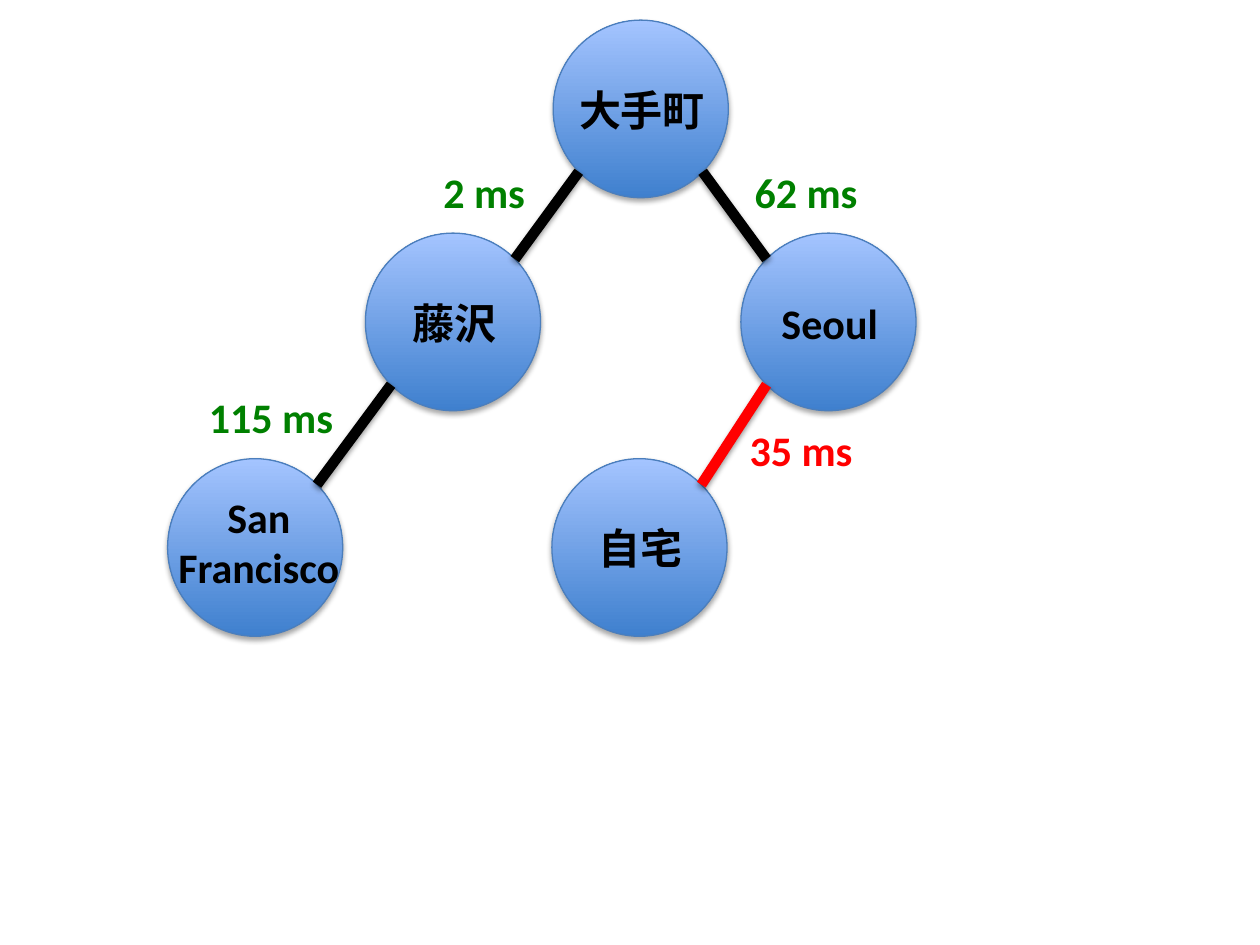
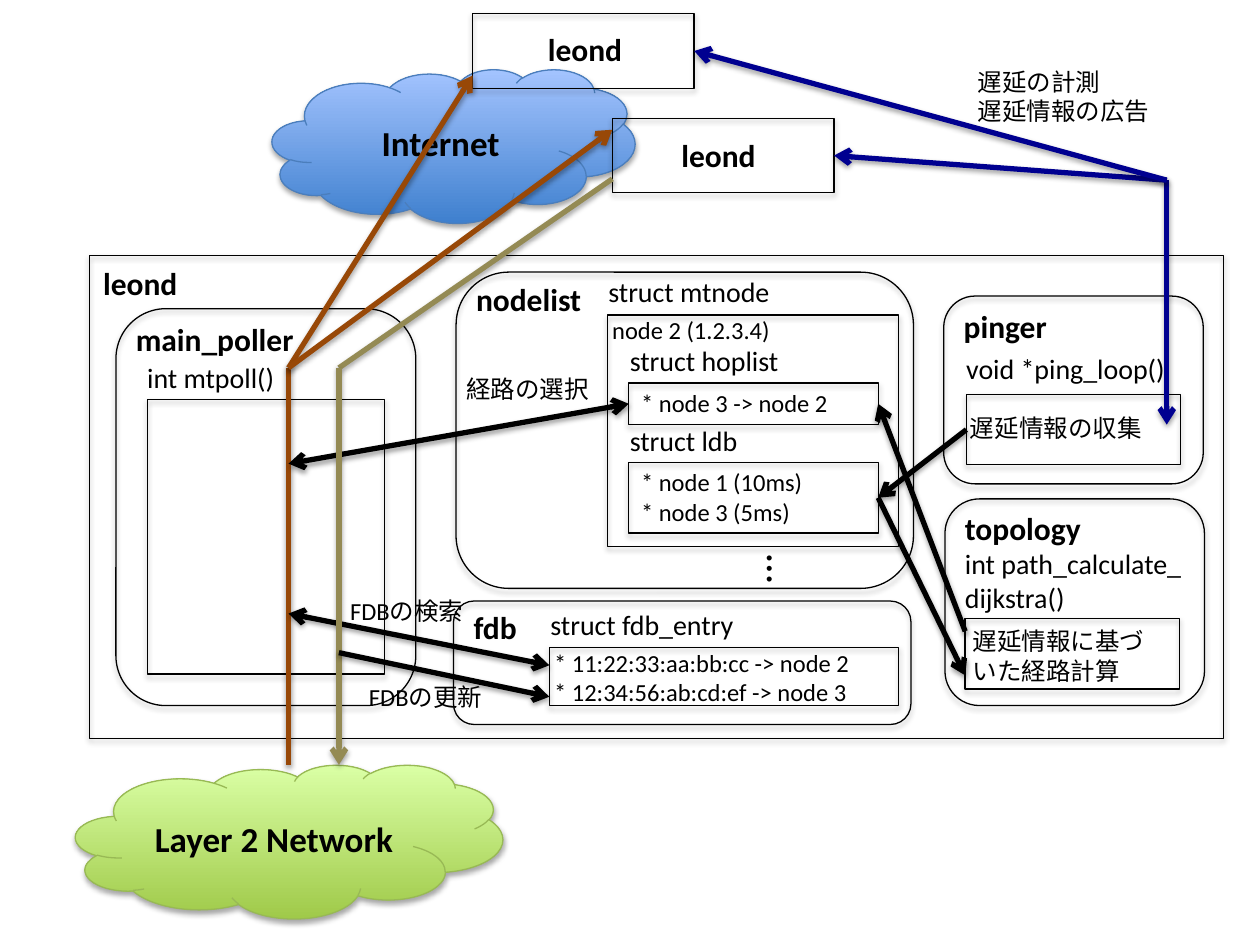
import math
from typing import Any, NamedTuple, Union

import lxml.etree
import pptx
import pptx.dml.color
import pptx.enum.shapes
import pptx.enum.text
import pptx.oxml.ns
import pptx.util

Inches = pptx.util.Inches
Pt = pptx.util.Pt
Kind = pptx.enum.shapes.MSO_SHAPE
Align = pptx.enum.text.PP_ALIGN
Anchor = pptx.enum.text.MSO_ANCHOR
qn = pptx.oxml.ns.qn

FONT = "Calibri"
COLORS = {
    "black": "000000", "red": "FF0000", "green": "008000",
    "brown": "984807", "olive": "948A54", "navy": "000090",
    "blue low": "3F80CE", "blue high": "A4C4FF", "blue edge": "4B7EBC",
    "lime low": "A0CA4A", "lime high": "DAFFA5", "lime edge": "98B955",
}
TOP, LEFT, BOTTOM, RIGHT = range(4)


class Box(NamedTuple):
    kind: Any
    x: float
    y: float
    w: float
    h: float
    tint: str = ""


class Label(NamedTuple):
    words: str
    x: float
    y: float
    w: float
    size: int
    bold: bool = False
    color: str = "black"
    lines: int = 1
    center: bool = False
    wrap: bool = True
    turn: int = 0


class Point(NamedTuple):
    x: float
    y: float


class Join(NamedTuple):
    box: str
    side: int


class Wire(NamedTuple):
    start: Union[Point, Join]
    end: Union[Point, Join]
    color: str = "black"
    width: float = 3
    head: bool = False
    tail: bool = True


class Node(NamedTuple):
    words: str
    x: float
    y: float
    dx: float = 0.03
    dy: float = 0.46
    w: float = 1.35
    lines: int = 1


# Shared drawing functions
def rgb(name: str) -> pptx.dml.color.RGBColor:
    return pptx.dml.color.RGBColor.from_string(COLORS[name])


def shade(shape: Any, alpha: int, dist: float) -> None:
    """Give a shape or connector a soft shadow below it."""
    props = shape._element.spPr
    effects = props.find(qn("a:effectLst"))
    if effects is None:
        effects = lxml.etree.SubElement(props, qn("a:effectLst"))
    outer = lxml.etree.SubElement(
        effects, qn("a:outerShdw"), blurRad=str(Pt(3.1)), dist=str(Pt(dist)),
        dir="5400000", rotWithShape="0")
    tone = lxml.etree.SubElement(outer, qn("a:srgbClr"), val=COLORS["black"])
    lxml.etree.SubElement(tone, qn("a:alpha"), val=str(alpha * 1000))


def write(frame: Any, words: str, *, size: int, bold: bool = False,
          color: str = "black", center: bool = False, wrap: bool = True) -> None:
    frame.word_wrap = wrap
    for i, line in enumerate(words.split("\n")):
        para = frame.add_paragraph() if i else frame.paragraphs[0]
        para.alignment = Align.CENTER if center else Align.LEFT
        run = para.add_run()
        run.text = line
        run.font.name, run.font.size, run.font.bold = FONT, Pt(size), bold
        run.font.color.rgb = rgb(color)


def draw_box(slide: Any, box: Box) -> Any:
    shape = slide.shapes.add_shape(box.kind, *map(Inches, box[1:5]))
    shape.shadow.inherit = False
    if box.tint:
        shape.fill.gradient()
        shape.fill.gradient_angle = 90
        for stop, end in zip(shape.fill.gradient_stops, ("low", "high")):
            stop.color.rgb = rgb(f"{box.tint} {end}")
    else:
        shape.fill.background()
    shape.line.color.rgb = rgb(f"{box.tint} edge" if box.tint else "black")
    shape.line.width = Pt(0.75)
    shade(shape, 35, 1.8)
    return shape


def draw_label(slide: Any, label: Label) -> None:
    # Height follows from the line count plus the two inner margins
    tall = label.lines * label.size * 1.2 / 72 + 0.1
    area = slide.shapes.add_textbox(
        Inches(label.x), Inches(label.y), Inches(label.w), Inches(tall))
    area.rotation = label.turn
    area.text_frame.auto_size = pptx.enum.text.MSO_AUTO_SIZE.SHAPE_TO_FIT_TEXT
    write(area.text_frame, label.words, size=label.size, bold=label.bold,
          color=label.color, center=label.center, wrap=label.wrap)


def draw_wire(slide: Any, wire: Wire, shapes: dict[str, Any]) -> None:
    spots = [Point(0, 0) if isinstance(end, Join) else end
             for end in (wire.start, wire.end)]
    line = slide.shapes.add_connector(
        pptx.enum.shapes.MSO_CONNECTOR.STRAIGHT,
        *(Inches(n) for spot in spots for n in spot))
    if isinstance(wire.start, Join):
        line.begin_connect(shapes[wire.start.box], wire.start.side)
    if isinstance(wire.end, Join):
        line.end_connect(shapes[wire.end.box], wire.end.side)
    line.line.color.rgb = rgb(wire.color)
    line.line.width = Pt(wire.width)
    stroke = line._element.spPr.find(qn("a:ln"))
    for tag, shown in (("a:headEnd", wire.head), ("a:tailEnd", wire.tail)):
        if shown:
            lxml.etree.SubElement(stroke, qn(tag), type="arrow")
    shade(line, 38, 1.6)


# Slide 1: delay tree
DISC_W, DISC_H = 1.39, 1.41
NODES = {
    "root": Node("大手町", 4.39, 0.16),
    "west": Node("藤沢", 2.9, 1.85),
    "bay": Node("San Francisco", 1.33, 3.64, -0.09, 0.21, 1.63, 2),
    "home": Node("自宅", 4.38, 3.64),
    "east": Node("Seoul", 5.88, 1.85),
}
# Upper node, lower node, side of the upper one (-1 left, 1 right),
# side of the lower one, colour
EDGES = [
    ("root", "west", -1, 1, "black"),
    ("west", "bay", -1, 1, "black"),
    ("east", "home", -1, 1, "red"),
    ("root", "east", 1, -1, "black"),
]
DELAYS = [
    ("2 ms", 3.42, 1.27, 0.86, "green"),
    ("62 ms", 5.89, 1.27, 1.04, "green"),
    ("35 ms", 5.85, 3.32, 1.19, "red"),
    ("115 ms", 1.56, 3.06, 1.38, "green"),
]


def rim(node: Node, across: int, down: int) -> Point:
    """Point on the disc's diagonal."""
    part = math.sqrt(0.5)
    return Point(node.x + DISC_W / 2 * (1 + across * part),
                 node.y + DISC_H / 2 * (1 + down * part))


def build_tree(slide: Any) -> None:
    for node in NODES.values():
        draw_box(slide, Box(Kind.OVAL, node.x, node.y, DISC_W, DISC_H, "blue"))
        draw_label(slide, Label(node.words, node.x + node.dx, node.y + node.dy,
                                node.w, 24, True, lines=node.lines, center=True))
    for upper, lower, out, back, color in EDGES:
        draw_wire(slide, Wire(rim(NODES[upper], out, 1), rim(NODES[lower], back, -1),
                              color, 6, tail=False), {})
    for words, x, y, w, color in DELAYS:
        draw_label(slide, Label(words, x, y, w, 24, True, color, wrap=False))


# Slide 2: daemon structure
CLOUDS = {
    "Internet": Box(Kind.CLOUD, 2.16, 0.55, 2.88, 1.22, "blue"),
    "Layer 2 Network": Box(Kind.CLOUD, 0.6, 6.07, 3.39, 1.22, "lime"),
}
RECT, ROUND = Kind.RECTANGLE, Kind.ROUNDED_RECTANGLE
BOXES = {
    "daemon": Box(RECT, 0.71, 2.03, 9, 3.83),
    "peer 1": Box(RECT, 3.75, 0.11, 1.76, 0.59),
    "peer 2": Box(RECT, 4.86, 0.94, 1.76, 0.59),
    "poller": Box(ROUND, 0.92, 2.45, 2.38, 3.15),
    "mtpoll": Box(RECT, 1.17, 3.17, 1.88, 2.18),
    "nodes": Box(ROUND, 3.62, 2.16, 3.63, 2.51),
    "mtnode": Box(RECT, 4.82, 2.5, 2.31, 1.84),
    "hops": Box(RECT, 4.99, 3.04, 1.98, 0.33),
    "ldb": Box(RECT, 4.99, 3.67, 1.98, 0.56),
    "fdb": Box(ROUND, 3.6, 4.77, 3.63, 0.98),
    "entry": Box(RECT, 4.36, 5.14, 2.77, 0.46),
    "pinger": Box(ROUND, 7.49, 2.35, 2.06, 1.49),
    "ping": Box(RECT, 7.67, 3.13, 1.7, 0.56),
    "topo": Box(ROUND, 7.5, 3.96, 2.06, 1.64),
    "route": Box(RECT, 7.66, 4.91, 1.7, 0.56),
}
LABELS = [
    # Parts of the daemon
    Label("leond", 4.25, 0.19, 0.92, 18, True),
    Label("leond", 5.31, 1.03, 0.9, 18, True),
    Label("leond", 0.72, 2.05, 0.88, 18, True),
    Label("main_poller", 0.98, 2.49, 1.56, 18, True),
    Label("nodelist", 3.68, 2.17, 1.09, 18, True),
    Label("fdb", 3.66, 4.78, 1.09, 18, True),
    Label("pinger", 7.55, 2.39, 1.41, 18, True),
    Label("topology", 7.56, 3.99, 1.41, 18, True),
    # Functions and structures
    Label("int mtpoll()", 1.07, 2.81, 1.33, 16),
    Label("struct mtnode", 4.73, 2.13, 1.62, 16),
    Label("struct hoplist", 4.9, 2.68, 1.62, 16),
    Label("struct ldb", 4.9, 3.31, 1.62, 16),
    Label("struct fdb_entry", 4.27, 4.77, 1.95, 16),
    Label("void *ping_loop()", 7.57, 2.74, 1.99, 16),
    Label("int path_calculate_\ndijkstra()", 7.56, 4.29, 1.99, 16, lines=2),
    # Contents
    Label("node 2 (1.2.3.4)", 4.76, 2.45, 2.02, 14),
    Label("* node 3 -> node 2", 4.99, 3.03, 1.98, 14),
    Label("* node 1 (10ms)\n* node 3 (5ms)", 4.99, 3.66, 1.6, 14, lines=2),
    Label("…", 5.96, 4.31, 0.52, 24, turn=90),
    Label("* 11:22:33:aa:bb:cc -> node 2\n* 12:34:56:ab:cd:ef -> node 3",
          4.3, 5.09, 2.83, 14, lines=2),
]
NOTES = [
    Label("遅延情報の収集", 7.6, 3.23, 1.73, 14),
    Label("遅延情報に基づいた経路計算", 7.62, 4.92, 1.73, 14, lines=2),
    Label("遅延の計測\n遅延情報の広告", 7.66, 0.48, 1.73, 14, lines=2),
    Label("経路の選択", 3.6, 2.92, 1.31, 14),
    Label("FDBの検索", 2.68, 4.68, 1.31, 14),
    Label("FDBの更新", 2.83, 5.36, 1.31, 14),
]
SEND, TAKE, PING = Point(2.29, 2.92), Point(2.69, 2.92), Point(9.26, 1.43)
WIRES = [
    # Outgoing frames
    Wire(Point(SEND.x, 6.07), SEND, "brown", tail=False),
    Wire(SEND, Point(3.75, 0.6), "brown"),
    Wire(SEND, Point(4.86, 1.03), "brown"),
    # Table access
    Wire(Join("ldb", RIGHT), Point(7.66, 5.36)),
    Wire(Point(7.66, 5.01), Join("hops", RIGHT)),
    Wire(Join("ping", LEFT), Join("ldb", RIGHT)),
    Wire(Point(SEND.x, 4.87), Point(4.36, 5.28), head=True),
    Wire(Point(SEND.x, 3.68), Join("hops", LEFT), head=True),
    # Delay probes
    Wire(PING, Point(PING.x, 3.37), "navy"),
    Wire(PING, Join("peer 2", RIGHT), "navy"),
    Wire(PING, Join("peer 1", RIGHT), "navy"),
    # Incoming frames
    Wire(TAKE, Point(4.86, 1.42), "olive", tail=False),
    Wire(TAKE, Point(TAKE.x, 6.07), "olive"),
    Wire(Point(TAKE.x, 5.18), Point(4.36, 5.53)),
]


def build_daemon(slide: Any) -> None:
    for words, box in CLOUDS.items():
        frame = draw_box(slide, box).text_frame
        frame.vertical_anchor = Anchor.MIDDLE
        write(frame, words, size=20, bold=True, center=True)
    shapes = {name: draw_box(slide, box) for name, box in BOXES.items()}
    for label in LABELS:
        draw_label(slide, label)
    for wire in WIRES:
        draw_wire(slide, wire, shapes)
    for note in NOTES:
        draw_label(slide, note)


def main() -> None:
    deck = pptx.Presentation()
    deck.slide_width, deck.slide_height = Inches(10), Inches(7.5)
    for build in (build_tree, build_daemon):
        build(deck.slides.add_slide(deck.slide_layouts[6]))
    deck.save("out.pptx")


if __name__ == "__main__":
    main()
